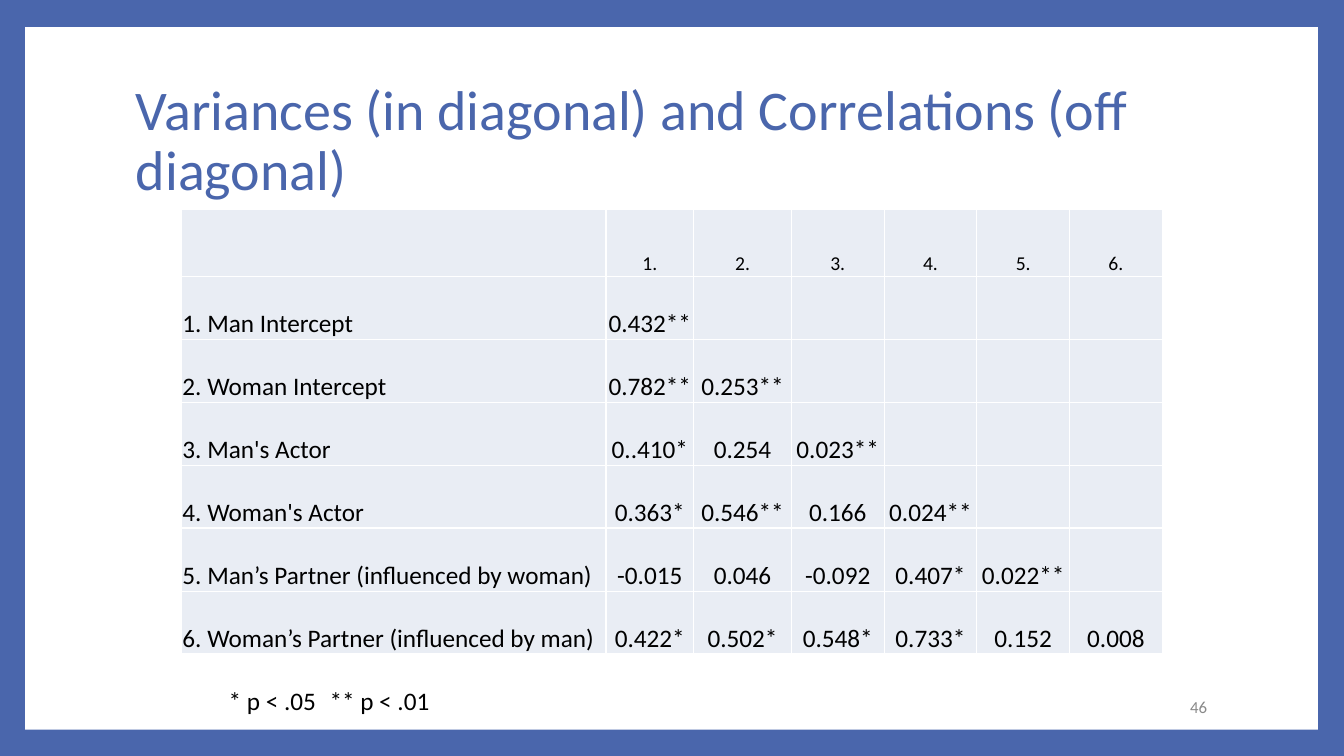
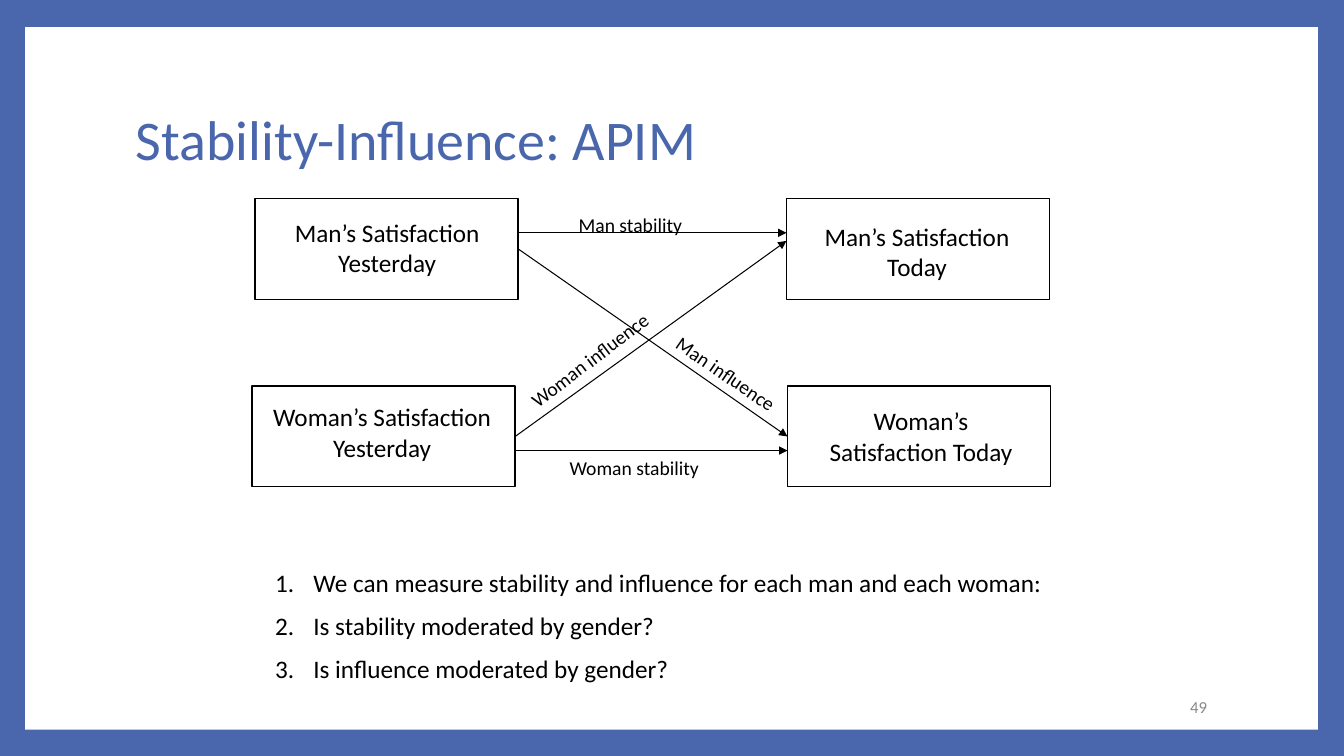
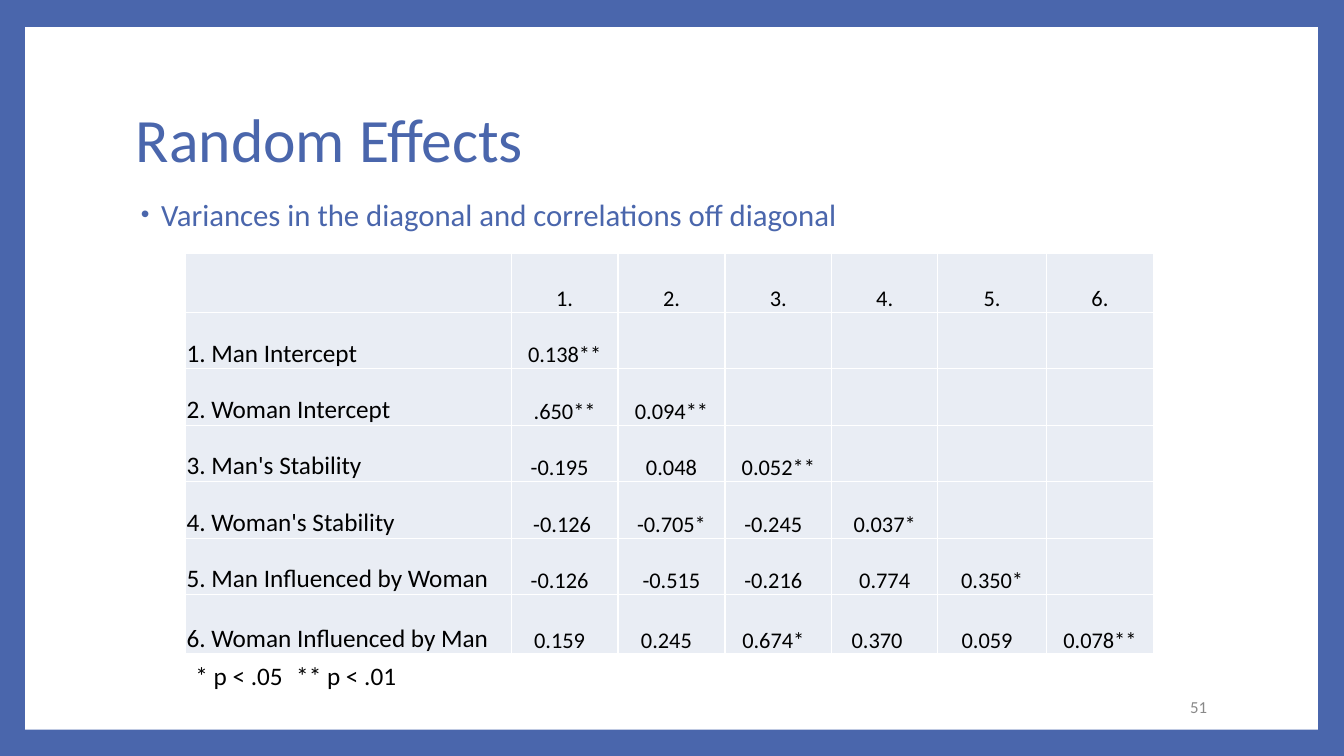
from pptx import Presentation
from pptx.dml.color import RGBColor as RGB
from pptx.enum.shapes import MSO_CONNECTOR as CON, MSO_SHAPE as SHP
from pptx.enum.text import MSO_ANCHOR as ANC, PP_ALIGN as AL
from pptx.oxml import parse_xml
from pptx.oxml.ns import nsdecls
from pptx.util import Pt

PX = 9144
FONT = "Calibri"
BLUE = RGB(0x4A, 0x66, 0xAC)
WHITE = RGB(0xFF, 0xFF, 0xFF)
BLACK = RGB(0, 0, 0)
GRAY = RGB(0x89, 0x89, 0x89)
PALE = RGB(0xE9, 0xED, 0xF4)

NOTE = "* p < .05\t** p < .01"
HEADS = [f"{n}." for n in range(1, 7)]

CORRS = {
    "at": (180, 208),
    "cols": [421, 87, 97] + [92] * 4,
    "rows": [66] + [63, 62] * 3,
    "sizes": (14, 18, 18),
    "pads": {},
    "data": [
        ["1. Man Intercept", "0.432**"],
        ["2. Woman Intercept", "0.782**", "0.253**"],
        ["3. Man's Actor", "0..410*", "0.254", "0.023**"],
        ["4. Woman's Actor", "0.363*", "0.546**", "0.166", "0.024**"],
        ["5. Man’s Partner (influenced by woman)", "-0.015", "0.046", "-0.092", "0.407*", "0.022**"],
        ["6. Woman’s Partner (influenced by man)", "0.422*", "0.502*", "0.548*", "0.733*", "0.152", "0.008"],
    ],
}
EFFECTS = {
    "at": (184, 251),
    "cols": [323, 106, 106, 106, 105, 108, 106],
    "rows": [59] + [56] * 5 + [59],
    "sizes": (16, 18, 16),
    "pads": {(3, 1): 10, (4, 1): 5, (4, 3): 10, (5, 1): 10, (5, 3): 10,
             (6, 1): 10, (6, 2): 10, (6, 3): 10, (6, 4): 15, (6, 5): 10},
    "data": [
        ["1. Man Intercept", "0.138**"],
        ["2. Woman Intercept", ".650**", "0.094**"],
        ["3. Man's Stability", "-0.195", "0.048", "0.052**"],
        ["4. Woman's Stability", "-0.126", "-0.705*", "-0.245", "0.037*"],
        ["5. Man Influenced by Woman", "-0.126", "-0.515", "-0.216", "0.774", "0.350*"],
        ["6. Woman Influenced by Man", "0.159", "0.245", "0.674*", "0.370", "0.059", "0.078**"],
    ],
}

BOXES = {
    "man_old": ("Man’s Satisfaction Yesterday", 253, 197, (12, 5, 11, 8)),
    "wom_old": ("Woman’s Satisfaction Yesterday", 250, 383, (13, 5, 16, 14)),
    "man_new": ("Man’s Satisfaction Today", 780, 197, (27, 10, 29, 5)),
    "wom_new": ("Woman’s Satisfaction Today", 781, 383, (26, 5, 22, 6)),
}
BOX_W, BOX_H = 261, 100
ARROWS = [
    ("man_old", (514, 247), "wom_new", (781, 433)),
    ("wom_old", (511, 433), None, (780, 239)),
    (None, (514, 231), None, (780, 231)),
    (None, (511, 447), None, (781, 447)),
]
LABELS = [
    ("Woman influence", (511, 322, 208, 69), 323),
    ("Man stability", (564, 206, 208, 33), 0),
    ("Woman stability", (555, 447, 208, 33), 0),
    ("Man influence", (647, 375, 208, 33), 34.3),
]
POINTS = [
    "We can measure stability and influence for each man and each woman:",
    "Is stability moderated by gender?",
    "Is influence moderated by gender?",
]


def px(*vals):
    return [round(v * PX) for v in vals]


def node(xml):
    tag, rest = xml[1:].split(" ", 1) if " " in xml else (xml[1:-2], "/>")
    return parse_xml(f"<{tag} {nsdecls('a')} {rest}")


def write(para, text, size, color=BLACK, align=AL.LEFT):
    para.alignment = align
    run = para.add_run()
    run.text = text
    run.font.name, run.font.size = FONT, Pt(size)
    run.font.color.rgb = color


def box(slide, at, anchor=ANC.TOP):
    shape = slide.shapes.add_textbox(*px(*at))
    frame = shape.text_frame
    frame.word_wrap = True
    frame.vertical_anchor = anchor
    return shape, frame


def mark(para, left, hang, *parts):
    props = para._p.get_or_add_pPr()
    props.set("marL", str(left * PX))
    props.set("indent", str(-hang * PX))
    for part in parts:
        props.append(node(part))


def rect(slide, at):
    shape = slide.shapes.add_shape(SHP.RECTANGLE, *px(*at))
    shape.shadow.inherit = False
    return shape


def start(deck, title, number, size=40):
    slide = deck.slides.add_slide(deck.slide_layouts[6])
    panel = rect(slide, (25, 27, 1282, 697))
    panel.fill.solid()
    panel.fill.fore_color.rgb = WHITE
    panel.line.fill.background()
    para = box(slide, (125, 67, 1080, 148), ANC.MIDDLE)[1].paragraphs[0]
    para.line_spacing = 0.9
    write(para, title, size, BLUE)
    para = box(slide, (1020, 681, 187, 40), ANC.MIDDLE)[1].paragraphs[0]
    write(para, str(number), 12, GRAY, AL.RIGHT)
    return slide


def cell_look(cell, pad):
    props = cell._tc.get_or_add_tcPr()
    for side in "LRTB":
        props.append(node(f'<a:ln{side} w="12700"><a:solidFill><a:srgbClr val="{WHITE}"/>'
                          f"</a:solidFill></a:ln{side}>"))
    cell.fill.solid()
    cell.fill.fore_color.rgb = PALE
    cell.vertical_anchor = ANC.BOTTOM
    cell.margin_left, cell.margin_top, cell.margin_right, cell.margin_bottom = px(1, 1, 1 + pad, 0)


def matrix(slide, spec):
    cols, rows = spec["cols"], spec["rows"]
    head, label, value = spec["sizes"]
    table = slide.shapes.add_table(len(rows), len(cols),
                                   *px(*spec["at"], sum(cols), sum(rows))).table
    table.first_row = table.horz_banding = False
    for col, width in zip(table.columns, cols):
        col.width = width * PX
    for row, height in zip(table.rows, rows):
        row.height = height * PX
    for r, line in enumerate([[""] + HEADS] + spec["data"]):
        for c in range(len(cols)):
            cell = table.cell(r, c)
            cell_look(cell, spec["pads"].get((r, c), 0))
            if c < len(line) and line[c]:
                size = head if r == 0 else value if c else label
                write(cell.text_frame.paragraphs[0], line[c], size,
                      align=AL.CENTER if c else AL.LEFT)


def note(slide, left, top):
    para = box(slide, (left, top, 283, 40))[1].paragraphs[0]
    mark(para, 0, 0, f'<a:tabLst ><a:tab pos="{103 * PX}" algn="l"/></a:tabLst>')
    write(para, NOTE, 18)


def diagram(slide):
    made = {}
    for key, (text, left, top, pads) in BOXES.items():
        shape = made[key] = rect(slide, (left, top, BOX_W, BOX_H))
        shape.fill.background()
        shape.line.color.rgb, shape.line.width = BLACK, Pt(1)
        frame = shape.text_frame
        frame.word_wrap = True
        frame.vertical_anchor = ANC.MIDDLE
        frame.margin_left, frame.margin_top, frame.margin_right, frame.margin_bottom = px(*pads)
        write(frame.paragraphs[0], text, 18, align=AL.CENTER)
    for src, tail, dst, tip in ARROWS:
        line = slide.shapes.add_connector(CON.STRAIGHT, *px(*tail, *tip))
        if src:
            line.begin_connect(made[src], 3)
        if dst:
            line.end_connect(made[dst], 1)
        line.line.color.rgb, line.line.width = BLACK, Pt(0.75)
        line.line._get_or_add_ln().append(node('<a:tailEnd type="triangle"/>'))
        line._element.spPr.append(node("<a:effectLst/>"))
    for text, at, turn in LABELS:
        shape, frame = box(slide, at)
        shape.rotation = turn
        write(frame.paragraphs[0], text, 14)


def points(slide):
    frame = box(slide, (263, 558, 795, 131))[1]
    for i, text in enumerate(POINTS):
        para = frame.add_paragraph() if i else frame.paragraphs[0]
        mark(para, 38, 38, '<a:buAutoNum type="arabicPeriod"/>')
        if i:
            para.space_before = Pt(9)
        write(para, text, 18)


def main():
    deck = Presentation()
    deck.slide_width, deck.slide_height = px(1333, 750)
    back = deck.slide_master.background.fill
    back.solid()
    back.fore_color.rgb = BLUE

    slide = start(deck, "Variances (in diagonal) and Correlations (off diagonal)", 46)
    matrix(slide, CORRS)
    note(slide, 217, 675)

    slide = start(deck, "Stability-Influence: APIM", 49)
    diagram(slide)
    points(slide)

    slide = start(deck, "Random Effects", 51, 44)
    para = box(slide, (125, 193, 1080, 50))[1].paragraphs[0]
    mark(para, 25, 20, f'<a:buClr ><a:srgbClr val="{BLUE}"/></a:buClr>',
         '<a:buSzPct val="80000"/>', '<a:buFont typeface="Arial"/>', '<a:buChar char="•"/>')
    para.line_spacing = 0.9
    write(para, "Variances in the diagonal and correlations off diagonal", 22, BLUE)
    matrix(slide, EFFECTS)
    note(slide, 184, 650)

    deck.save("out.pptx")


if __name__ == "__main__":
    main()
